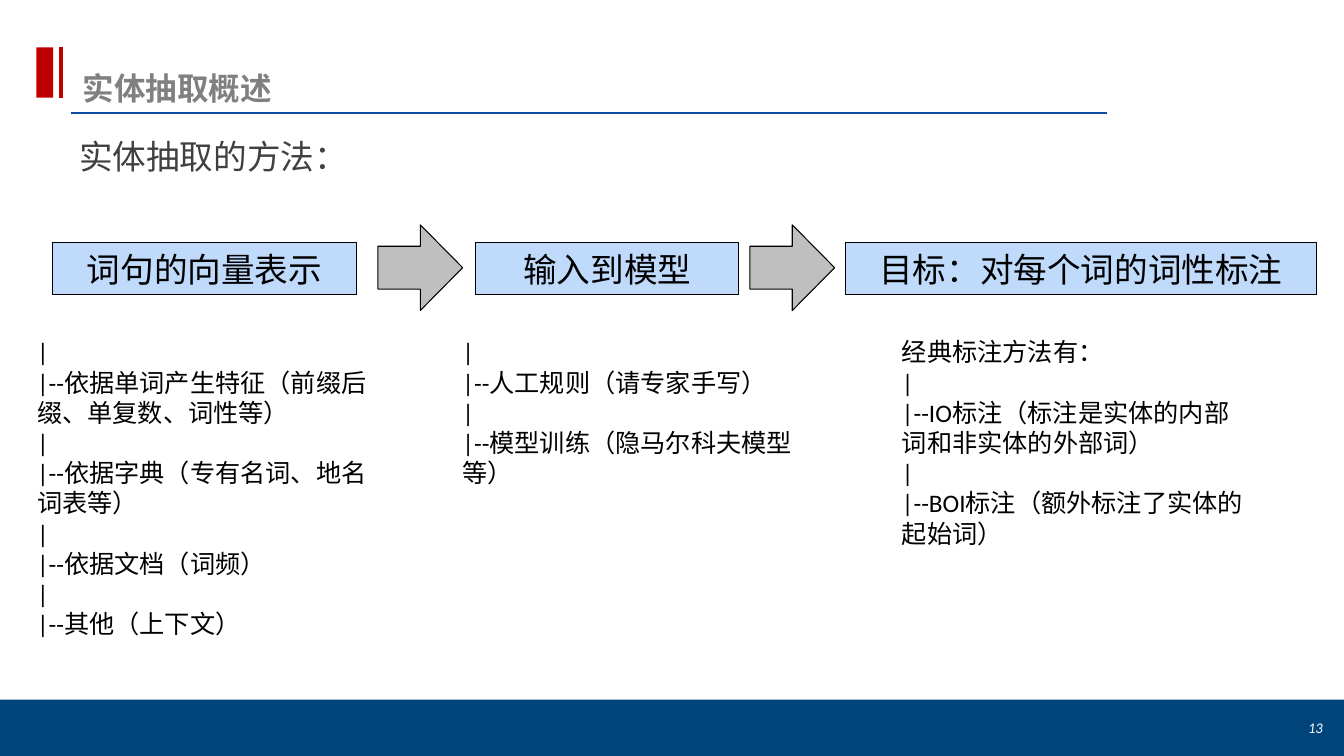
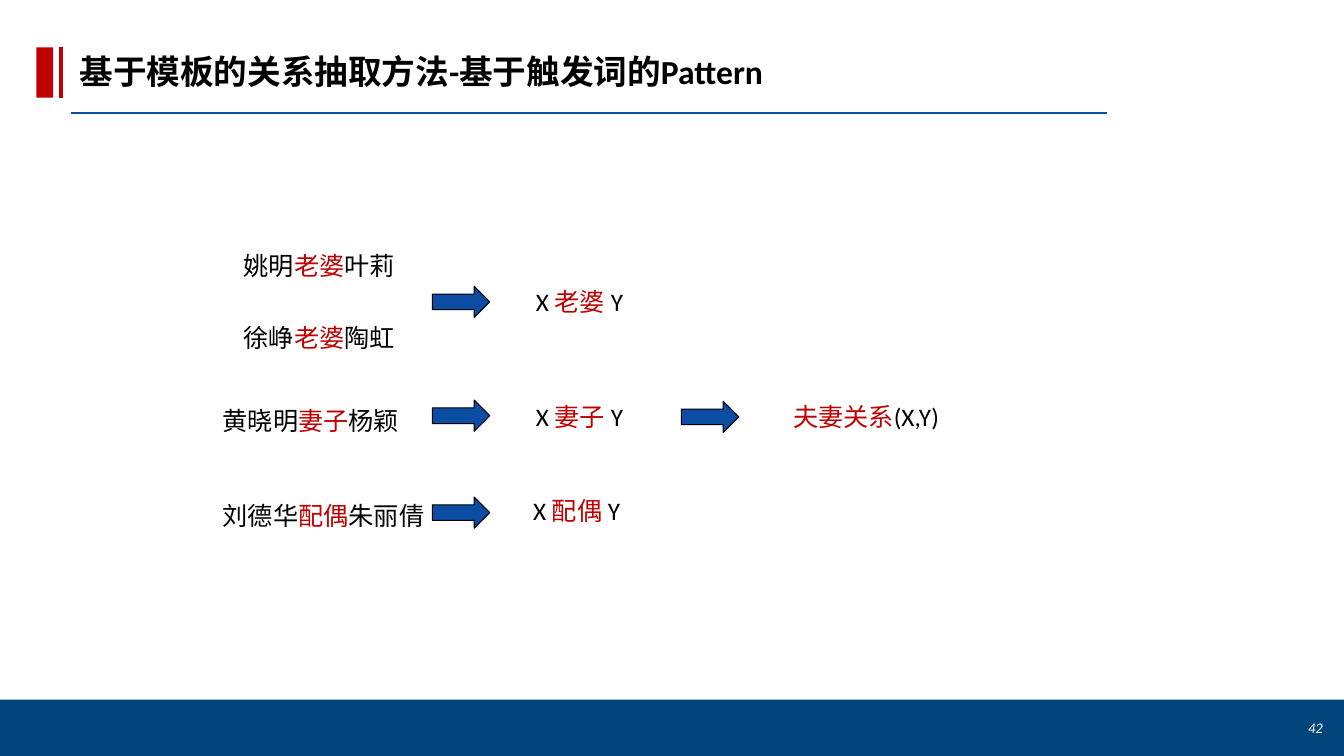
from pptx import Presentation
from pptx.dml.color import RGBColor
from pptx.enum import shapes, text
from pptx.oxml.ns import qn
from pptx.util import Pt
from lxml import etree

COLORS = {
    "navy": "00447C", "blue": "0B4DA2", "red": "C00000", "pale": "C0DAFB",
    "silver": "BFBFBF", "gray": "808080", "dark": "404040",
    "black": "000000", "white": "FFFFFF",
}
LATIN, CJK = "Calibri", "Noto Sans CJK SC"
RECT, ARROW = shapes.MSO_SHAPE.RECTANGLE, shapes.MSO_SHAPE.RIGHT_ARROW
CENTER, RIGHT = text.PP_ALIGN.CENTER, text.PP_ALIGN.RIGHT
MIDDLE, BOTTOM = text.MSO_ANCHOR.MIDDLE, text.MSO_ANCHOR.BOTTOM

# Step: label, left, width, column left, column heading, branches
STEPS = [
    ("词句的向量表示", 37.4, 217.4, 19.4, None,
     ["依据单词产生特征（前缀后缀、单复数、词性等）", "依据字典（专有名词、地名词表等）",
      "依据文档（词频）", "其他（上下文）"]),
    ("输入到模型", 339.8, 188, 323.3, None,
     ["人工规则（请专家手写）", "模型训练（隐马尔科夫模型等）"]),
    ("目标：对每个词的词性标注", 604, 336.2, 637.2, "经典标注方法有：",
     ["IO标注（标注是实体的内部词和非实体的外部词）", "BOI标注（额外标注了实体的起始词）"]),
]
STEP_ARROWS = [270, 535.7]

# Example: husband, trigger word, wife, left, top
EXAMPLES = [
    ("姚明", "老婆", "叶莉", 167, 175),
    ("徐峥", "老婆", "陶虹", 167, 226.8),
    ("黄晓明", "妻子", "杨颖", 152, 285.8),
    ("刘德华", "配偶", "朱丽倩", 152, 353.5),
]
# Pattern: trigger word, left, top, arrow top
PATTERNS = [
    ("老婆", 375.8, 200.9, 204.5),
    ("妻子", 375.8, 283, 285.8),
    ("配偶", 373.7, 350, 355),
]


def rgb(name):
    return RGBColor.from_string(COLORS[name])


def write(tf, paragraphs, size=18, color="black", bold=False, italic=False,
          font=LATIN, align=None, anchor=None, spacing=None):
    """Fill a frame; a paragraph is a string or a list of (text, colour) runs."""
    tf.word_wrap = True
    if anchor is not None:
        tf.vertical_anchor = anchor
    for i, runs in enumerate(paragraphs):
        p = tf.paragraphs[0] if i == 0 else tf.add_paragraph()
        p.alignment = align
        p.line_spacing = spacing
        for words, run_color in [(runs, color)] if isinstance(runs, str) else runs:
            r = p.add_run()
            r.text = words
            f = r.font
            f.name, f.size, f.bold, f.italic = font, Pt(size), bold, italic
            f.color.rgb = rgb(run_color)
            etree.SubElement(f._element, qn("a:ea"), typeface=CJK)


def add_text(s, x, y, w, h, paragraphs, **fmt):
    tf = s.shapes.add_textbox(Pt(x), Pt(y), Pt(w), Pt(h)).text_frame
    write(tf, paragraphs, **fmt)
    return tf


def add_shape(s, kind, x, y, w, h, fill, outlined=True):
    sp = s.shapes.add_shape(kind, Pt(x), Pt(y), Pt(w), Pt(h))
    sp.shadow.inherit = False
    sp.fill.solid()
    sp.fill.fore_color.rgb = rgb(fill)
    if outlined:
        sp.line.color.rgb = rgb("black")
        sp.line.width = Pt(0.75)
    else:
        sp.line.fill.background()
    return sp


def add_line(s, x1, y1, x2, y2, color, width):
    line = s.shapes.add_connector(shapes.MSO_CONNECTOR.STRAIGHT,
                                  Pt(x1), Pt(y1), Pt(x2), Pt(y2))
    line.line.color.rgb = rgb(color)
    line.line.width = Pt(width)
    etree.SubElement(line._element.spPr, qn("a:effectLst"))


def new_slide(prs, number):
    """Add a slide with the footer band, title rule, red marks and page number."""
    s = prs.slides.add_slide(prs.slide_layouts[6])
    add_shape(s, RECT, 0, 499.7, 960, 40.3, "navy", outlined=False)
    add_line(s, 50.4, 80.6, 790.6, 80.6, "blue", 1.5)
    add_shape(s, RECT, 26, 33.8, 12, 36, "red", outlined=False)
    add_line(s, 43.4, 33.8, 43.4, 69.8, "red", 3)
    add_text(s, 849, 505.4, 103, 28.8, [str(number)], size=10.5, color="white",
             italic=True, align=RIGHT, anchor=MIDDLE)
    return s


def build_overview(prs):
    s = new_slide(prs, 13)
    add_text(s, 52, 18, 738.7, 62, ["实体抽取概述"], size=22.5, color="gray",
             bold=True, font=CJK, anchor=BOTTOM, spacing=0.85)
    tf = add_text(s, 56.5, 96.5, 855, 40, ["实体抽取的方法："], size=24,
                  color="dark", spacing=0.9)
    tf.margin_left = tf.margin_right = 0
    for label, x, w, column_x, heading, branches in STEPS:
        box = add_shape(s, RECT, x, 173.5, w, 36.7, "pale")
        write(box.text_frame, [label], size=24, align=CENTER, anchor=MIDDLE)
        lines = [heading] if heading else []
        for branch in branches:
            lines += ["|", "|--" + branch]
        add_text(s, column_x, 236.9, 260, 21.6 * len(lines) + 7.2, lines)
    for x in STEP_ARROWS:
        add_shape(s, ARROW, x, 160.6, 60.5, 61.2, "silver")


def build_patterns(prs):
    s = new_slide(prs, 42)
    add_text(s, 49.7, 33, 567.4, 36, ["基于模板的关系抽取方法-基于触发词的Pattern"],
             size=24, bold=True)

    def add_label(x, y, *runs):
        add_text(s, x, y, 232, 29, [runs])

    def add_arrow(x, y):
        add_shape(s, ARROW, x, y, 41, 22.3, "blue")

    for husband, trigger, wife, x, y in EXAMPLES:
        add_label(x, y, (husband, "black"), (trigger, "red"), (wife, "black"))
    for trigger, x, y, arrow_y in PATTERNS:
        add_arrow(308.9, arrow_y)
        add_label(x, y, ("X ", "black"), (trigger + " ", "red"), ("Y", "black"))
    add_arrow(486.7, 286.6)
    add_label(559.4, 283, ("夫妻关系", "red"), ("(X,Y)", "black"))


def main():
    prs = Presentation()
    prs.slide_width, prs.slide_height = Pt(960), Pt(540)
    build_overview(prs)
    build_patterns(prs)
    prs.save("out.pptx")


if __name__ == "__main__":
    main()
